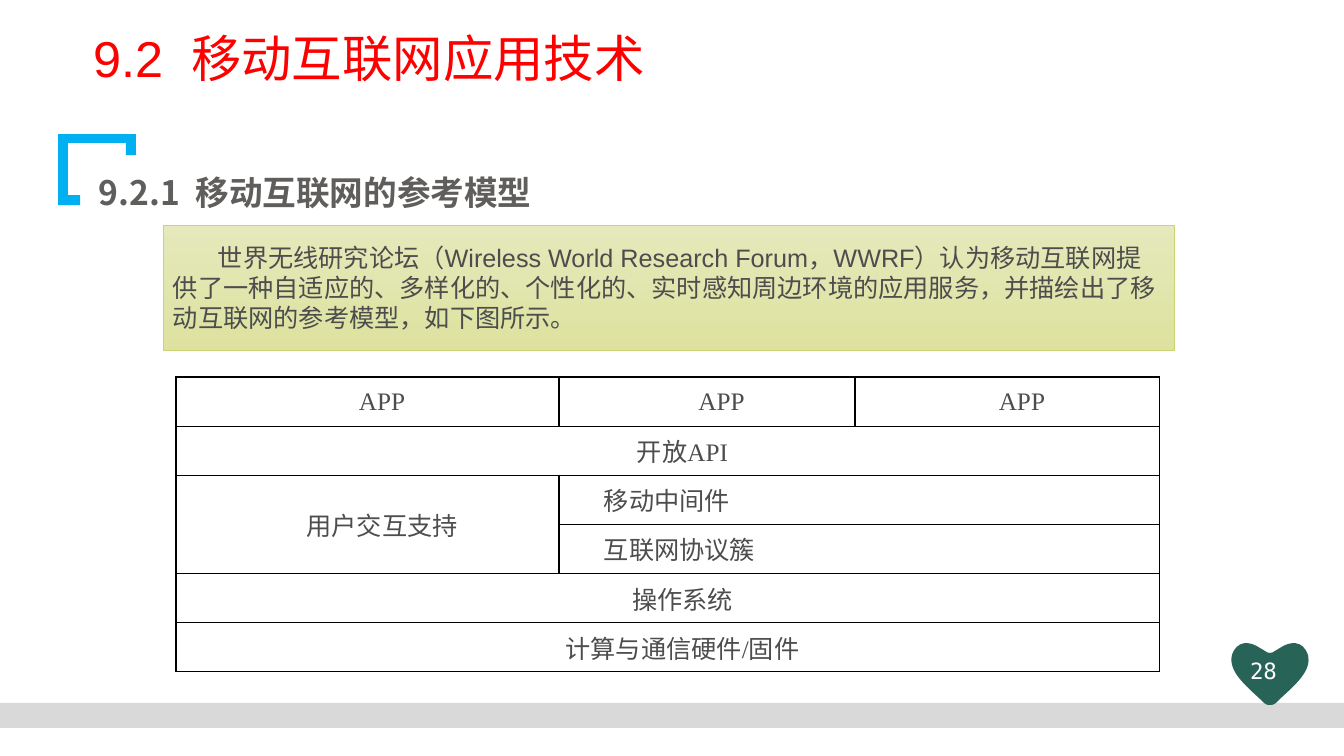
import lxml.etree
import pptx
import pptx.dml.color
import pptx.enum.shapes
import pptx.enum.text
import pptx.oxml.ns
import pptx.util

EMU_PER_PX = 914400 / 100.8
CJK_FONT = "Noto Sans CJK SC"
GREY = "4D4D4D"
ALIGN = pptx.enum.text.PP_ALIGN
ANCHOR = pptx.enum.text.MSO_ANCHOR
RECTANGLE = pptx.enum.shapes.MSO_SHAPE.RECTANGLE
color = pptx.dml.color.RGBColor.from_string
qn = pptx.oxml.ns.qn


def px(*lengths):
    return [pptx.util.Emu(round(length * EMU_PER_PX)) for length in lengths]


def write(frame, text, size, font, hex_color, align=ALIGN.LEFT, indent=0, bold=False):
    """Fill a text frame with one formatted paragraph and return it."""
    frame.word_wrap = True
    frame.text = text
    para = frame.paragraphs[0]
    para.alignment = align
    if indent:
        properties = para._p.get_or_add_pPr()
        properties.set("marL", "0")
        properties.set("indent", str(px(indent)[0]))
    for span in para.runs:
        span.font.size = pptx.util.Pt(size)
        span.font.bold = bold
        span.font.name = font
        span.font.color.rgb = color(hex_color)
        east_asian = lxml.etree.SubElement(span._r.get_or_add_rPr(), qn("a:ea"))
        east_asian.set("typeface", CJK_FONT)
    return para


deck = pptx.Presentation()
deck.slide_width, deck.slide_height = px(1344, 756)
page = deck.slides.add_slide(deck.slide_layouts[5])
shapes = page.shapes

# Title
title = shapes.title
title.left, title.top, title.width, title.height = px(83, 29, 927, 95)
para = write(title.text_frame, "9.2  移动互联网应用技术", 36, "Arial", "FF0000")
para.line_spacing = 0.9
title.text_frame.vertical_anchor = ANCHOR.TOP
title.text_frame.auto_size = pptx.enum.text.MSO_AUTO_SIZE.NONE

# Corner bracket, footer bar and heart
bracket_points = [(58, 134), (136, 134), (136, 155), (126, 155), (126, 143),
                  (68, 143), (68, 195), (80, 195), (80, 205), (58, 205)]

# Right half from notch to tip: each curve is two control points and an end
heart_center = 1270
notch = (heart_center, 653)
right_half = [
    notch,
    (1272, 653), (1274, 652), (1275, 651),
    (1275, 651), (1275, 651), (1280, 648),
    (1290, 641), (1303, 640), (1308, 655),
    (1312, 671), (1295, 685), (1280, 699),
    (1276, 703), (1276, 703), (1276, 703),
    (1274, 705), (1272, 705), (heart_center, 705),
]
left_half = [(2 * heart_center - x, y) for x, y in reversed(right_half[:-1])]
heart_points = right_half + left_half

bar = shapes.add_shape(RECTANGLE, *px(0, 703, 1344, 25))
outlines = []
for points in (bracket_points, heart_points[::3]):
    corners = [px(*point) for point in points]
    builder = shapes.build_freeform(*corners[0])
    builder.add_line_segments(corners[1:], close=True)
    outlines.append(builder.convert_to_shape())
bracket, heart = outlines

for number, line in enumerate(list(heart._element.iter(qn("a:lnTo")))[:len(heart_points) // 3]):
    curve = lxml.etree.Element(qn("a:cubicBezTo"))
    for point in heart_points[3 * number + 1:3 * number + 4]:
        x, y = px(*point)
        lxml.etree.SubElement(curve, qn("a:pt"), x=str(x - heart.left), y=str(y - heart.top))
    line.getparent().replace(line, curve)

for shape, fill in [(bracket, "00B0F0"), (bar, "D9D9D9"), (heart, "276357")]:
    shape.fill.solid()
    shape.fill.fore_color.rgb = color(fill)
    shape.line.fill.background()
    shape.shadow.inherit = False

page_number = shapes.add_textbox(*px(1228, 652, 71, 39))
write(page_number.text_frame, "28", 16, "DejaVu Sans Mono", "FFFFFF", ALIGN.CENTER)

# Section heading and introduction
heading = shapes.add_textbox(*px(89, 155, 637, 57))
para = write(heading.text_frame, "9.2.1  移动互联网的参考模型", 24, CJK_FONT, "5F5E5C", bold=True)
para.line_spacing = 1.3

intro = shapes.add_shape(RECTANGLE, *px(163, 225, 1011, 125))
intro.shadow.inherit = False
intro.fill.gradient()
intro.fill.gradient_angle = 270
for stop, hex_color, position in zip(intro.fill.gradient_stops, ("E5E9BB", "DDE2A0"), (0, 1)):
    stop.color.rgb = color(hex_color)
    stop.position = position
intro.line.color.rgb = color("CCD373")
intro.line.width = pptx.util.Pt(0.5)
intro.text_frame.vertical_anchor = ANCHOR.MIDDLE
write(intro.text_frame,
      "世界无线研究论坛（Wireless World Research Forum，WWRF）认为移动互联网提供了一种自适应的、"
      "多样化的、个性化的、实时感知周边环境的应用服务，并描绘出了移动互联网的参考模型，如下图所示。",
      18, "Arial", GREY, indent=45)

# Reference model
table_height = 295
table = shapes.add_table(6, 3, *px(176, 377, 984, table_height)).table
table.first_row = False
table.horz_banding = False
for column, width in zip(table.columns, px(383, 296, 305)):
    column.width = width
for row in table.rows:
    row.height = px(table_height / len(table.rows))[0]

# row, column, last row, last column, text
layers = [
    (0, 0, 0, 0, "APP"), (0, 1, 0, 1, "APP"), (0, 2, 0, 2, "APP"),
    (1, 0, 1, 2, "开放API"),
    (2, 0, 3, 0, "用户交互支持"),
    (2, 1, 2, 2, "移动中间件"), (3, 1, 3, 2, "互联网协议簇"),
    (4, 0, 4, 2, "操作系统"),
    (5, 0, 5, 2, "计算与通信硬件/固件"),
]
for top, left, bottom, right, text in layers:
    cell = table.cell(top, left)
    if (top, left) != (bottom, right):
        cell.merge(table.cell(bottom, right))
    justified = top in (2, 3) and left == 1
    write(cell.text_frame, text, 18, "Times New Roman", GREY,
          ALIGN.JUSTIFY if justified else ALIGN.CENTER, 38 if justified else 29)

for cell in table.iter_cells():
    cell.vertical_anchor = ANCHOR.MIDDLE
    cell.margin_left, cell.margin_top, cell.margin_right, cell.margin_bottom = px(7, 0, 7, 0)
    properties = cell._tc.get_or_add_tcPr()
    for side in ("a:lnL", "a:lnR", "a:lnT", "a:lnB"):
        border = lxml.etree.SubElement(properties, qn(side), w=str(pptx.util.Pt(1)))
        solid = lxml.etree.SubElement(border, qn("a:solidFill"))
        lxml.etree.SubElement(solid, qn("a:srgbClr"), val="000000")
    cell.fill.background()

deck.save("out.pptx")
